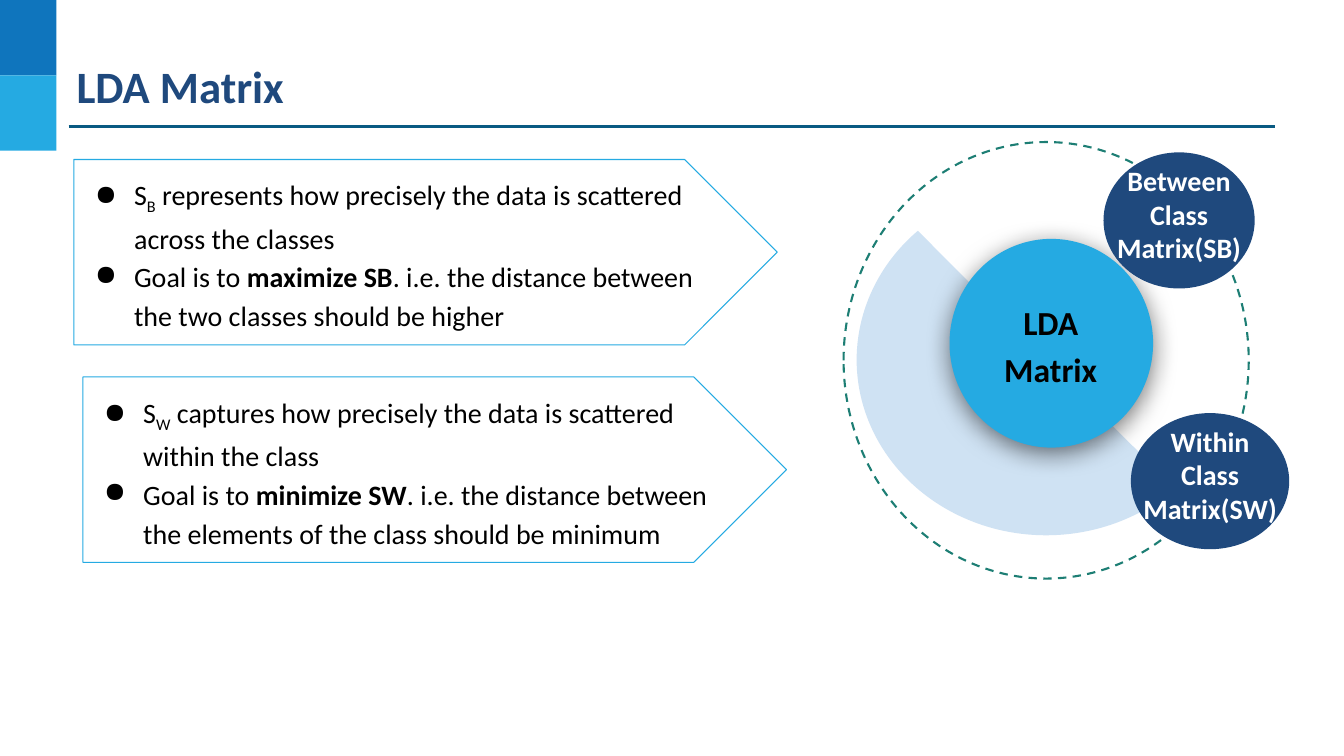
import lxml.etree
import pptx
import pptx.dml.color
import pptx.enum.dml
import pptx.enum.shapes
import pptx.enum.text
import pptx.oxml
import pptx.oxml.ns
import pptx.util

Cm = pptx.util.Cm
Pt = pptx.util.Pt
RGBColor = pptx.dml.color.RGBColor
SHAPES = pptx.enum.shapes.MSO_SHAPE
ANCHOR = pptx.enum.text.MSO_ANCHOR
ALIGN = pptx.enum.text.PP_ALIGN
qn = pptx.oxml.ns.qn

BLUE = RGBColor(0x0F, 0x75, 0xBD)
SKY = RGBColor(0x25, 0xAA, 0xE2)
PALE = RGBColor(0xCF, 0xE2, 0xF3)
NAVY = RGBColor(0x1F, 0x49, 0x7D)
RULE = RGBColor(0x09, 0x5A, 0x82)
GREEN = RGBColor(0x1D, 0x7E, 0x74)
BLACK = RGBColor(0, 0, 0)
WHITE = RGBColor(255, 255, 255)

SCATTER_BETWEEN = [
    [("S", ""), ("B", "sub"),
     (" represents how precisely the data is scattered across the classes", "")],
    [("Goal is to ", ""), ("maximize SB", "bold"),
     (". i.e. the distance between the two classes should be higher", "")],
]
SCATTER_WITHIN = [
    [("S", ""), ("W", "sub"),
     (" captures how precisely the data is scattered within the class", "")],
    [("Goal is to ", ""), ("minimize SW", "bold"),
     (". i.e. the distance between the elements of the class should be minimum", "")],
]


def add_bullet(paragraph):
    """Give a paragraph a hanging black dot."""
    properties = paragraph._p.get_or_add_pPr()
    properties.set("marL", str(Cm(1.27)))
    properties.set("indent", str(Cm(-0.99)))
    colour = lxml.etree.SubElement(properties, qn("a:buClr"))
    lxml.etree.SubElement(colour, qn("a:srgbClr")).set("val", str(BLACK))
    lxml.etree.SubElement(properties, qn("a:buChar")).set("char", "●")


def write(frame, paragraphs, size=20, colour=BLACK, bold=False, align=ALIGN.LEFT,
          anchor=ANCHOR.TOP, inset=0.25, spacing=None, bullets=False):
    """Fill a text frame with paragraphs of (text, style) runs."""
    frame.word_wrap = True
    frame.vertical_anchor = anchor
    frame.margin_left = frame.margin_right = Cm(inset)
    frame.margin_top = frame.margin_bottom = Cm(inset)
    for index, runs in enumerate(paragraphs):
        paragraph = frame.add_paragraph() if index else frame.paragraphs[0]
        paragraph.alignment = align
        paragraph.line_spacing = spacing
        if bullets:
            add_bullet(paragraph)
        for text, style in runs:
            run = paragraph.add_run()
            run.text = text
            run.font.name = "Calibri"
            run.font.size = Pt(size)
            run.font.bold = bold or style == "bold"
            run.font.color.rgb = colour
            if style == "sub":
                run.font._element.set("baseline", "-25000")


def add_label(slide, left, top, width, height, text, **text_format):
    """Place a text box holding one paragraph."""
    label = slide.shapes.add_textbox(Cm(left), Cm(top), Cm(width), Cm(height))
    write(label.text_frame, [[(text, "")]], **text_format)


def add_figure(slide, kind, left, top, width, height, fill=None, line=None, weight=0.75):
    """Place a preset shape with a plain fill and outline."""
    figure = slide.shapes.add_shape(kind, Cm(left), Cm(top), Cm(width), Cm(height))
    figure.shadow.inherit = False
    if fill is None:
        figure.fill.background()
    else:
        figure.fill.solid()
        figure.fill.fore_color.rgb = fill
    if line is None:
        figure.line.fill.background()
    else:
        figure.line.color.rgb = line
        figure.line.width = Pt(weight)
    return figure


def add_soft_shadow(figure):
    """Cast a blurred black shadow straight down."""
    effects = figure._element.spPr.find(qn("a:effectLst"))
    shadow = lxml.etree.SubElement(effects, qn("a:outerShdw"))
    for name, value in (("blurRad", Pt(18)), ("dist", Pt(4)), ("dir", 90 * 60000),
                        ("algn", "ctr"), ("rotWithShape", 0)):
        shadow.set(name, str(value))
    colour = lxml.etree.SubElement(shadow, qn("a:srgbClr"))
    colour.set("val", str(BLACK))
    lxml.etree.SubElement(colour, qn("a:alpha")).set("val", "53000")


def add_header(slide, left, top, width, title):
    """Draw the corner blocks, the title and the rule below it."""
    for row, fill in enumerate((BLUE, SKY)):
        add_figure(slide, SHAPES.RECTANGLE, left, top + row * 1.9, 1.42, 1.9, fill)
    rule = slide.shapes.add_connector(
        pptx.enum.shapes.MSO_CONNECTOR.STRAIGHT,
        Cm(left + 1.73), Cm(top + 3.18), Cm(left + width), Cm(top + 3.18))
    rule.line.color.rgb = RULE
    rule.line.width = Pt(2.25)
    lxml.etree.SubElement(rule._element.spPr, qn("a:effectLst"))
    add_label(slide, left + 1.88, top + 1.42, 19.02, 1.47, title,
              size=32, colour=NAVY, bold=True, inset=0.05)


def add_explanation(slide, left, top, width, height, points):
    """Draw a pointed panel with its bulleted points."""
    panel = add_figure(slide, SHAPES.PENTAGON, left, top, width, height, line=SKY)
    panel.adjustments[0] = 0.5
    write(panel.text_frame, points, anchor=ANCHOR.MIDDLE, spacing=1.15, bullets=True)


def add_badge(slide, left, top, width, height, name):
    """Draw a navy oval with its class name centred on it."""
    add_figure(slide, SHAPES.OVAL, left, top, width, height, NAVY)
    label_width = 3.99
    add_label(slide, left + (width - label_width) / 2, top + 0.03, label_width, 3.07,
              name, colour=WHITE, bold=True, align=ALIGN.CENTER)


def add_diagram(slide, left, top, width, height):
    """Draw the dashed orbit, the half disc, the hub and the two badges."""
    orbit = add_figure(slide, SHAPES.OVAL, left, top, width, height, line=GREEN, weight=1.5)
    orbit.line.dash_style = pptx.enum.dml.MSO_LINE.DASH
    half_disc = add_figure(slide, SHAPES.PIE, left + 0.33, top + 1.07, 9.55, 8.84, PALE)
    half_disc.adjustments[0] = 26.9
    half_disc.adjustments[1] = 135.11
    hub = add_figure(slide, SHAPES.OVAL, left + 2.67, top + 2.44, 5.13, 5.26, SKY)
    add_soft_shadow(hub)
    add_label(slide, left + 3.33, top + 3.86, 3.78, 2.39, "LDA Matrix", size=24, bold=True,
              align=ALIGN.CENTER, anchor=ANCHOR.MIDDLE, inset=0.33, spacing=1.15)
    add_badge(slide, left + 6.55, top + 0.26, 3.81, 3.43, "Between Class Matrix(SB)")
    add_badge(slide, left + 7.24, top + 6.83, 3.99, 3.43, "Within Class Matrix(SW)")


def main():
    """Build the slide and save it."""
    deck = pptx.Presentation()
    deck.slide_width = Cm(33.87)
    deck.slide_height = Cm(19.05)
    slide = deck.slides.add_slide(deck.slide_layouts[6])
    add_header(slide, 0, 0, 32.13, "LDA Matrix")
    add_explanation(slide, 1.86, 4.02, 17.73, 4.67, SCATTER_BETWEEN)
    add_explanation(slide, 2.09, 9.5, 17.73, 4.67, SCATTER_WITHIN)
    add_diagram(slide, 21.26, 3.58, 10.21, 11)
    deck.save("out.pptx")


if __name__ == "__main__":
    main()
